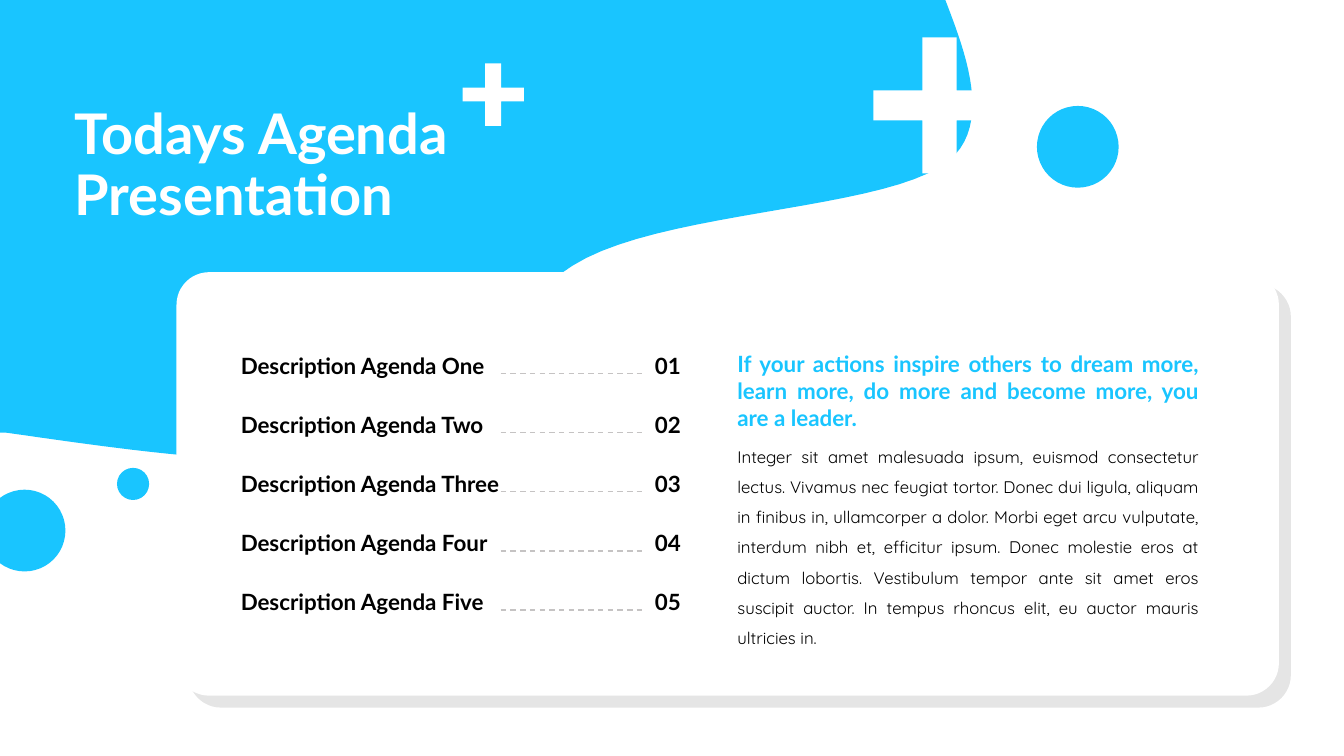
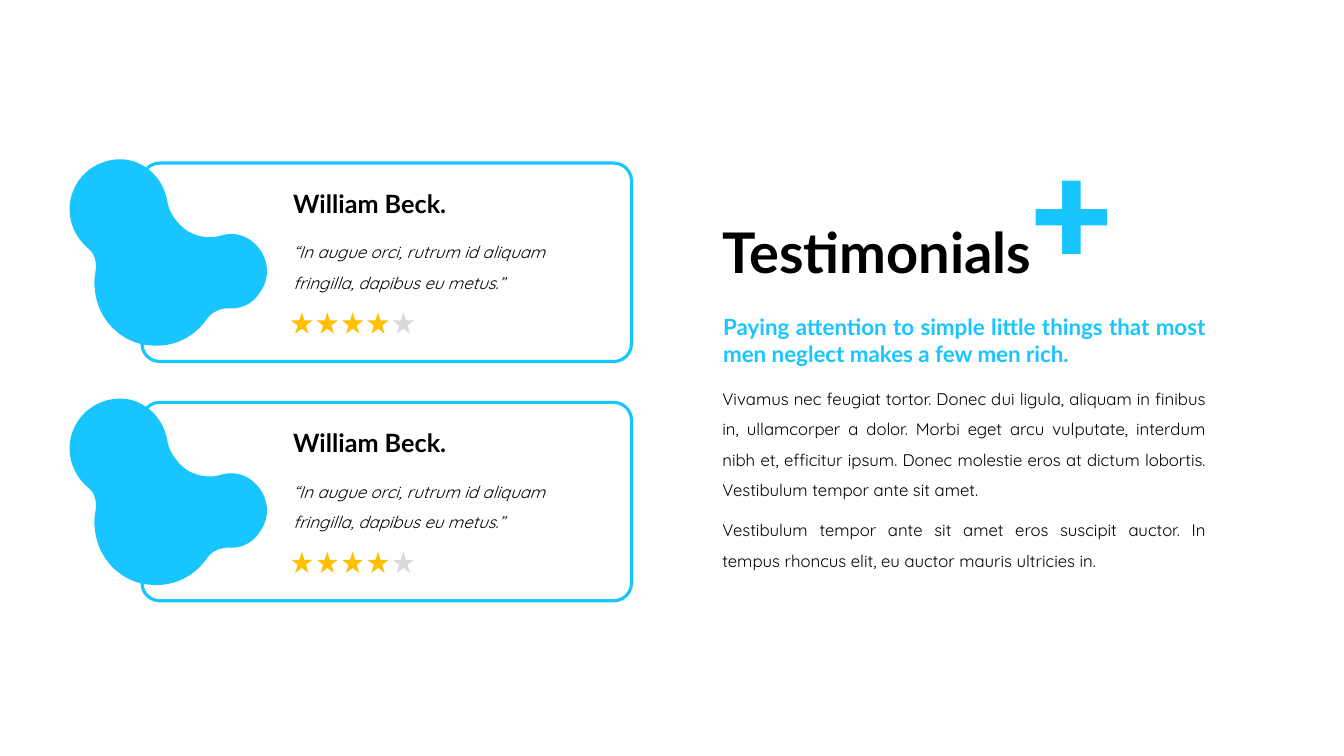
from dataclasses import dataclass

from lxml.etree import SubElement
from pptx import Presentation
from pptx.dml.color import RGBColor
from pptx.enum.dml import MSO_LINE
from pptx.enum.shapes import MSO_CONNECTOR, MSO_SHAPE
from pptx.enum.text import MSO_ANCHOR as Anchor, MSO_AUTO_SIZE as AutoSize, PP_ALIGN as Align
from pptx.oxml.ns import qn
from pptx.util import Cm, Pt


@dataclass(frozen=True)
class TextStyle:
    size: int
    font: str = "Lato"
    color: str = "000000"
    bold: bool = True
    italic: bool = False
    align: Align = Align.LEFT
    line_spacing: float = 1.0
    anchor: Anchor = Anchor.MIDDLE


@dataclass(frozen=True)
class Theme:
    blue: str = "19C5FF"
    white: str = "FFFFFF"
    black: str = "000000"
    leader: str = "C5C3C3"
    gold: str = "FFC000"
    pale_star: str = "D9D9D9"
    title_light: TextStyle = TextStyle(40, color="FFFFFF", line_spacing=0.9)
    title_dark: TextStyle = TextStyle(40, line_spacing=0.9)
    name: TextStyle = TextStyle(18)
    agenda: TextStyle = TextStyle(16)
    lead: TextStyle = TextStyle(16, color="19C5FF", align=Align.JUSTIFY, anchor=Anchor.TOP)
    body: TextStyle = TextStyle(12, "Quicksand", bold=False, align=Align.JUSTIFY,
                                line_spacing=1.5, anchor=Anchor.TOP)
    quote: TextStyle = TextStyle(12, "Quicksand", bold=False, italic=True, line_spacing=1.5)


THEME = Theme()
rgb = RGBColor.from_string


def write_text(shape, text, style, auto_size=AutoSize.SHAPE_TO_FIT_TEXT):
    frame = shape.text_frame
    frame.word_wrap = True
    frame.auto_size = auto_size
    frame.vertical_anchor = style.anchor
    paragraph = frame.paragraphs[0]
    paragraph.alignment = style.align
    paragraph.line_spacing = style.line_spacing
    run = paragraph.add_run()
    run.text = text
    run.font.name = style.font
    run.font.size = Pt(style.size)
    run.font.bold = style.bold
    run.font.italic = style.italic
    run.font.color.rgb = rgb(style.color)


def add_outline(slide, segments, color, down=0):
    """Fill a closed outline in cm: pairs are corners, six numbers are a Bézier curve."""
    points = [segments[0]]
    for segment in segments[1:]:
        if len(segment) == 2:
            points.append(segment)
            continue
        x0, y0 = points[-1]
        x1, y1, x2, y2, x3, y3 = segment
        steps = 20
        for step in range(1, steps + 1):
            t = step / steps
            u = 1 - t
            a, b, c, d = u ** 3, 3 * u * u * t, 3 * u * t * t, t ** 3
            points.append((a * x0 + b * x1 + c * x2 + d * x3,
                           a * y0 + b * y1 + c * y2 + d * y3))
    corners = [(Cm(x), Cm(y + down)) for x, y in points]
    builder = slide.shapes.build_freeform(*corners[0])
    builder.add_line_segments(corners[1:], close=True)
    shape = builder.convert_to_shape()
    shape.shadow.inherit = False
    shape.fill.solid()
    shape.fill.fore_color.rgb = rgb(color)
    shape.line.fill.background()


presentation = Presentation()
presentation.slide_width, presentation.slide_height = Cm(33.88), Cm(19.05)
title_only = presentation.slide_layouts[5]
agenda_slide = presentation.slides.add_slide(title_only)
testimonial_slide = presentation.slides.add_slide(title_only)

# Blue wave and plus signs
WAVE = [
    (6.96, 11.61), (4.65, 11.58, 1.78, 11.13, 0.13, 10.9), (0, 10.9), (0, 0),
    (23.83, 0), (23.88, 0.13), (24.33, 1.32, 25.02, 3.12, 23.93, 4.04),
    (22.48, 5.26, 17.22, 5.28, 14.78, 6.5), (12.37, 7.72, 11.96, 10.67, 9.37, 11.38),
    (8.71, 11.56, 7.87, 11.61, 6.96, 11.61),
]
add_outline(agenda_slide, WAVE, THEME.blue)

pluses = [
    (agenda_slide, THEME.white, 22.02, 0.94, 3.33, 3.43),
    (agenda_slide, THEME.white, 11.66, 1.6, 1.55, 1.57),
    (testimonial_slide, THEME.blue, 26.11, 4.55, 1.8, 1.85),
]
for slide, color, left, top, width, height in pluses:
    x0, x1, x2, x3 = [left + width * part for part in (0, 0.37, 0.63, 1)]
    y0, y1, y2, y3 = [top + height * part for part in (0, 0.39, 0.61, 1)]
    add_outline(slide, [(x1, y0), (x2, y0), (x2, y1), (x3, y1), (x3, y2), (x2, y2),
                        (x2, y3), (x1, y3), (x1, y2), (x0, y2), (x0, y1), (x1, y1)], color)

# Agenda card with its hard shadow
card = agenda_slide.shapes.add_shape(
    MSO_SHAPE.ROUNDED_RECTANGLE, Cm(4.45), Cm(6.86), Cm(27.79), Cm(10.67))
card.adjustments[0] = 0.077
card.fill.solid()
card.fill.fore_color.rgb = rgb(THEME.white)
card.line.fill.background()
card.shadow.inherit = False
effects = card.element.spPr.find(qn("a:effectLst"))
shadow = SubElement(effects, qn("a:outerShdw"), blurRad="0", dist=str(Pt(12.1)),
                    dir="2700000", algn="tl", rotWithShape="0")
shadow_color = SubElement(shadow, qn("a:srgbClr"), val=THEME.black)
SubElement(shadow_color, qn("a:alpha"), val="10000")

for row, word in enumerate(["One", "Two", "Three", "Four", "Five"]):
    top = 8.74 + 1.49 * row
    label = agenda_slide.shapes.add_textbox(Cm(5.82), Cm(top), Cm(7.24), Cm(0.94))
    write_text(label, f"Description Agenda {word}", THEME.agenda)
    number = agenda_slide.shapes.add_textbox(Cm(16.26), Cm(top), Cm(1.27), Cm(0.94))
    write_text(number, f"{row + 1:02}", THEME.agenda)
    leader = agenda_slide.shapes.add_connector(
        MSO_CONNECTOR.STRAIGHT, Cm(12.62), Cm(top + 0.67), Cm(16.21), Cm(top + 0.67))
    leader.line.color.rgb = rgb(THEME.leader)
    leader.line.width = Pt(1)
    leader.line.dash_style = MSO_LINE.DASH
    SubElement(leader.element.spPr, qn("a:effectLst"))

for left, top, diameter in [(26.14, 2.67, 2.06), (2.95, 11.79, 0.81), (-0.41, 12.34, 2.06)]:
    circle = agenda_slide.shapes.add_shape(
        MSO_SHAPE.OVAL, Cm(left), Cm(top), Cm(diameter), Cm(diameter))
    circle.shadow.inherit = False
    circle.fill.solid()
    circle.fill.fore_color.rgb = rgb(THEME.blue)
    circle.line.fill.background()

# Testimonial cards
BLOB = [
    (5.77, 7.77), (6.07, 7.8, 6.38, 7.65, 6.55, 7.37), (6.83, 7.01, 6.78, 6.48, 6.43, 6.15),
    (6.2, 5.92, 5.87, 5.84, 5.56, 5.94), (5.28, 6.02, 4.98, 5.97, 4.72, 5.82),
    (4.47, 5.64, 4.27, 5.38, 4.22, 5.08), (4.14, 4.62, 3.84, 4.22, 3.35, 4.06),
    (2.74, 3.89, 2.08, 4.22, 1.85, 4.8), (1.63, 5.31, 1.8, 5.89, 2.21, 6.25),
    (2.39, 6.38, 2.44, 6.6, 2.41, 6.83), (2.39, 6.99, 2.36, 7.11, 2.39, 7.26),
    (2.44, 8.05, 3.07, 8.69, 3.86, 8.71), (4.42, 8.74, 4.9, 8.48, 5.21, 8.05),
    (5.33, 7.87, 5.54, 7.77, 5.77, 7.77),
]
STARS, RATING = 5, 4
for down in (0, 6.03):
    frame = testimonial_slide.shapes.add_shape(
        MSO_SHAPE.ROUNDED_RECTANGLE, Cm(3.58), Cm(4.11 + down), Cm(12.34), Cm(5))
    frame.adjustments[0] = 0.089
    frame.shadow.inherit = False
    frame.fill.solid()
    frame.fill.fore_color.rgb = rgb(THEME.white)
    frame.line.color.rgb = rgb(THEME.blue)
    frame.line.width = Pt(2.25)
    add_outline(testimonial_slide, BLOB, THEME.blue, down)
    quote = testimonial_slide.shapes.add_textbox(Cm(7.14), Cm(5.72 + down), Cm(8.43), Cm(1.78))
    write_text(quote, "“In augue orci, rutrum id aliquam fringilla, dapibus eu metus.”", THEME.quote)
    name = testimonial_slide.shapes.add_textbox(Cm(7.14), Cm(4.62 + down), Cm(6.65), Cm(1.02))
    write_text(name, "William Beck.", THEME.name)
    rating = testimonial_slide.shapes.add_group_shape()
    for index in range(STARS):
        star = rating.shapes.add_shape(
            MSO_SHAPE.STAR_5_POINT, Cm(7.34 + 0.64 * index), Cm(7.87 + down), Cm(0.54), Cm(0.54))
        star.shadow.inherit = False
        star.fill.solid()
        star.fill.fore_color.rgb = rgb(THEME.gold if index < RATING else THEME.pale_star)
        star.line.fill.background()

# Running text
passages = [
    (agenda_slide, THEME.body, (18.34, 10.87, 12.14, 5.59),
     "Integer sit amet malesuada ipsum, euismod consectetur lectus. Vivamus nec feugiat tortor. "
     "Donec dui ligula, aliquam in finibus in, ullamcorper a dolor. Morbi eget arcu vulputate, "
     "interdum nibh et, efficitur ipsum. Donec molestie eros at dictum lobortis. Vestibulum "
     "tempor ante sit amet eros suscipit auctor. In tempus rhoncus elit, eu auctor mauris "
     "ultricies in."),
    (agenda_slide, THEME.lead, (18.34, 8.71, 12.14, 2.29),
     "If your actions inspire others to dream more, learn more, do more and become more, "
     "you are a leader."),
    (testimonial_slide, THEME.body, (17.96, 9.42, 12.7, 3.3),
     "Vivamus nec feugiat tortor. Donec dui ligula, aliquam in finibus in, ullamcorper a dolor. "
     "Morbi eget arcu vulputate, interdum nibh et, efficitur ipsum. Donec molestie eros at "
     "dictum lobortis. Vestibulum tempor ante sit amet."),
    (testimonial_slide, THEME.lead, (17.98, 7.77, 12.67, 1.63),
     "Paying attention to simple little things that most men neglect makes a few men rich."),
    (testimonial_slide, THEME.body, (17.96, 12.73, 12.7, 1.78),
     "Vestibulum tempor ante sit amet eros suscipit auctor. In tempus rhoncus elit, eu auctor "
     "mauris ultricies in."),
]
for slide, style, box, text in passages:
    write_text(slide.shapes.add_textbox(*map(Cm, box)), text, style)

# Titles, brought in front of the artwork
titles = [
    (agenda_slide, THEME.title_light, 1.63, 2.36, "Todays Agenda Presentation"),
    (testimonial_slide, THEME.title_dark, 17.96, 4.6, "Testimonials"),
]
for slide, style, left, top, text in titles:
    title = slide.shapes.title
    title.left, title.top, title.width, title.height = map(Cm, (left, top, 12.93, 3.68))
    write_text(title, text, style, AutoSize.NONE)
    slide.shapes.element.append(title.element)

presentation.save("out.pptx")
